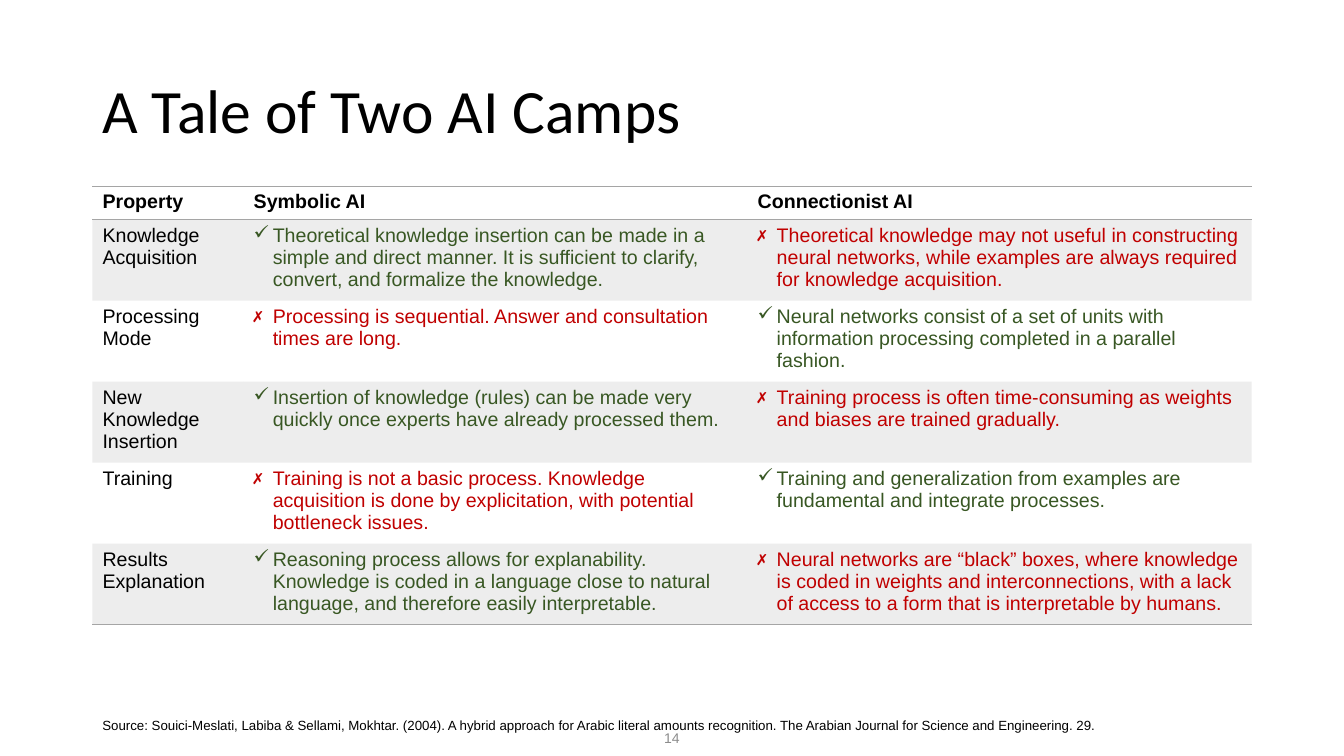
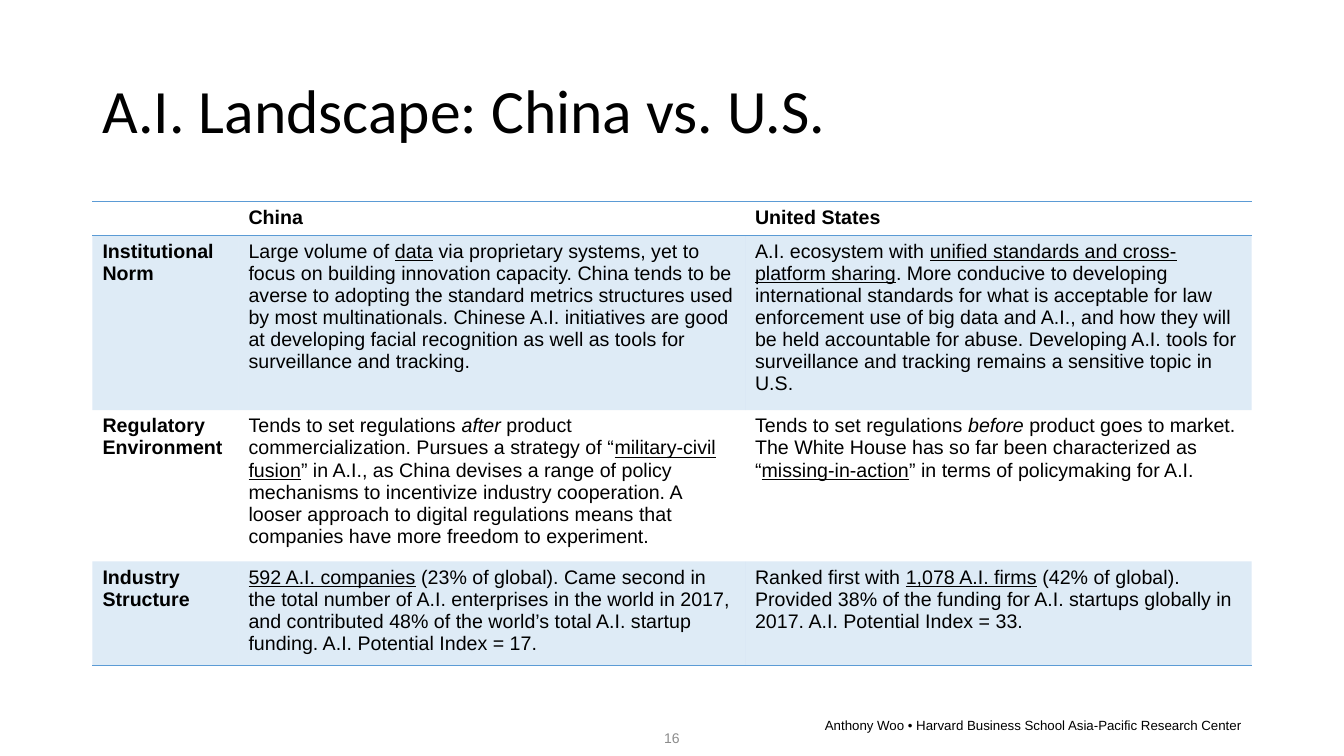
from lxml import etree
from pptx import Presentation
from pptx import util as u
from pptx.dml.color import RGBColor
from pptx.enum import text
from pptx.oxml import ns

COLORS = {
    "ink": "000000",
    "page number": "8C8C8C",
    "gray": "A5A5A5",
    "blue": "5B9BD5",
    "✓": "385723",
    "✗": "C00000",
}
NO_STYLE = "{2D5ABB26-0587-4C30-8999-92F81FD0307C}"
LEFT, WIDTH = 2.33, 29.21
ALIGN, ANCHOR = text.PP_ALIGN, text.MSO_ANCHOR


def style_run(run, size, color="ink", font="Arial"):
    run.font.name = font
    run.font.size = u.Pt(size)
    run.font.color.rgb = RGBColor.from_string(COLORS[color])


def add_label(slide, box, words, size, color="ink", font="Arial", align=ALIGN.LEFT, anchor=ANCHOR.MIDDLE):
    text_frame = slide.shapes.add_textbox(*map(u.Cm, box)).text_frame
    text_frame.word_wrap = True
    text_frame.vertical_anchor = anchor
    text_frame.text = words
    paragraph = text_frame.paragraphs[0]
    paragraph.alignment = align
    style_run(paragraph.runs[0], size, color, font)
    return text_frame


# Cell text: _underlined_, *italic*, leading ✓ or ✗ as bullet.
SLIDES = [
    {
        "title": "A Tale of Two AI Camps",
        "number": "14",
        "accent": "gray",
        "top": 4.69,
        "first column": 3.81,
        "heights": [0.84] + [2.04] * 5,
        "bold labels": False,
        "footer": "Source: Souici-Meslati, Labiba & Sellami, Mokhtar. (2004). A hybrid approach for Arabic literal amounts recognition. The Arabian Journal for Science and Engineering. 29.",
        "footer left": LEFT,
        "footer align": ALIGN.LEFT,
        "rows": [
            ["Property", "Symbolic AI", "Connectionist AI"],
            [
                "Knowledge Acquisition",
                "✓Theoretical knowledge insertion can be made in a simple and direct manner. It is sufficient to clarify, convert, and formalize the knowledge.",
                "✗Theoretical knowledge may not useful in constructing neural networks, while examples are always required for knowledge acquisition.",
            ],
            [
                "Processing Mode",
                "✗Processing is sequential. Answer and consultation times are long.",
                "✓Neural networks consist of a set of units with information processing completed in a parallel fashion.",
            ],
            [
                "New Knowledge Insertion",
                "✓Insertion of knowledge (rules) can be made very quickly once experts have already processed them.",
                "✗Training process is often time-consuming as weights and biases are trained gradually.",
            ],
            [
                "Training",
                "✗Training is not a basic process. Knowledge acquisition is done by explicitation, with potential bottleneck issues.",
                "✓Training and generalization from examples are fundamental and integrate processes.",
            ],
            [
                "Results Explanation",
                "✓Reasoning process allows for explanability. Knowledge is coded in a language close to natural language, and therefore easily interpretable.",
                "✗Neural networks are “black” boxes, where knowledge is coded in weights and interconnections, with a lack of access to a form that is interpretable by humans.",
            ],
        ],
    },
    {
        "title": "A.I. Landscape: China vs. U.S.",
        "number": "16",
        "accent": "blue",
        "top": 5.08,
        "first column": 3.68,
        "heights": [0.83, 4.14, 3.58, 2.49],
        "bold labels": True,
        "footer": "Anthony Woo • Harvard Business School Asia-Pacific Research Center",
        "footer left": 16.3,
        "footer align": ALIGN.RIGHT,
        "rows": [
            ["", "China", "United States"],
            [
                "Institutional Norm",
                "Large volume of _data_ via proprietary systems, yet to focus on building innovation capacity. China tends to be averse to adopting the standard metrics structures used by most multinationals. Chinese A.I. initiatives are good at developing facial recognition as well as tools for surveillance and tracking.",
                "A.I. ecosystem with _unified standards and cross-platform sharing_. More conducive to developing international standards for what is acceptable for law enforcement use of big data and A.I., and how they will be held accountable for abuse. Developing A.I. tools for surveillance and tracking remains a sensitive topic in U.S.",
            ],
            [
                "Regulatory Environment",
                "Tends to set regulations *after* product commercialization. Pursues a strategy of “_military-civil fusion_” in A.I., as China devises a range of policy mechanisms to incentivize industry cooperation. A looser approach to digital regulations means that companies have more freedom to experiment.",
                "Tends to set regulations *before* product goes to market. The White House has so far been characterized as “_missing-in-action_” in terms of policymaking for A.I.",
            ],
            [
                "Industry Structure",
                "_592 A.I. companies_ (23% of global). Came second in the total number of A.I. enterprises in the world in 2017, and contributed 48% of the world’s total A.I. startup funding. A.I. Potential Index = 17.",
                "Ranked first with _1,078 A.I. firms_ (42% of global). Provided 38% of the funding for A.I. startups globally in 2017. A.I. Potential Index = 33.",
            ],
        ],
    },
]

presentation = Presentation()
presentation.slide_width, presentation.slide_height = u.Cm(33.87), u.Cm(19.05)

for content in SLIDES:
    slide = presentation.slides.add_slide(presentation.slide_layouts[6])
    title = add_label(slide, (LEFT, 1.01, WIDTH, 3.68), content["title"], 44, font="Calibri")
    title.paragraphs[0].line_spacing = 0.9
    number = add_label(slide, (13.12, 18.03, 7.62, 1.02), content["number"], 10, "page number", align=ALIGN.CENTER)
    number.margin_bottom = 0
    footer_left = content["footer left"]
    footer_box = (footer_left, 17.93, LEFT + WIDTH - footer_left, 0.66)
    add_label(slide, footer_box, content["footer"], 9.5, align=content["footer align"], anchor=ANCHOR.BOTTOM)

    rows, heights, accent = content["rows"], content["heights"], COLORS[content["accent"]]
    table_box = (LEFT, content["top"], WIDTH, sum(heights))
    frame = slide.shapes.add_table(len(rows), 3, *map(u.Cm, table_box))
    table = frame.table
    table.first_row = table.horz_banding = False
    next(frame._element.iter(ns.qn("a:tableStyleId"))).text = NO_STYLE
    first_column = content["first column"]
    other_column = (WIDTH - first_column) / 2
    for column, width in zip(table.columns, (first_column, other_column, other_column)):
        column.width = u.Cm(width)

    for row_index, row in enumerate(rows):
        table.rows[row_index].height = u.Cm(heights[row_index])
        for column_index, words in enumerate(row):
            cell = table.cell(row_index, column_index)
            paragraph = cell.text_frame.paragraphs[0]
            color = "ink"
            if words[:1] in ("✓", "✗"):
                color, words = words[0], words[1:]
                properties = paragraph._p.get_or_add_pPr()
                properties.set("marL", str(u.Cm(0.48)))
                properties.set("indent", str(-u.Cm(0.48)))
                etree.SubElement(properties, ns.qn("a:buChar"), char=color)
            for underline_index, part in enumerate(words.split("_")):
                for italic_index, piece in enumerate(part.split("*")):
                    if piece:
                        run = paragraph.add_run()
                        run.text = piece
                        style_run(run, 14, color)
                        run.font.bold = row_index == 0 or (column_index == 0 and content["bold labels"])
                        run.font.underline = underline_index % 2 == 1
                        run.font.italic = italic_index % 2 == 1
            if not words:
                etree.SubElement(paragraph._p, ns.qn("a:endParaRPr"), sz="1400")

            cell_properties = cell._tc.get_or_add_tcPr()
            if row_index % 2:
                cell.fill.solid()
                cell.fill.fore_color.rgb = RGBColor.from_string(accent)
                fill_color = next(cell_properties.iter(ns.qn("a:srgbClr")))
                etree.SubElement(fill_color, ns.qn("a:alpha"), val="20000")
            else:
                cell.fill.background()
            edges = {0: ["a:lnT", "a:lnB"], len(rows) - 1: ["a:lnB"]}.get(row_index, [])
            for position, edge in enumerate(edges):
                line = etree.Element(ns.qn(edge), w=str(u.Pt(1)))
                line_fill = etree.SubElement(line, ns.qn("a:solidFill"))
                etree.SubElement(line_fill, ns.qn("a:srgbClr"), val=accent)
                cell_properties.insert(position, line)

presentation.save("out.pptx")
